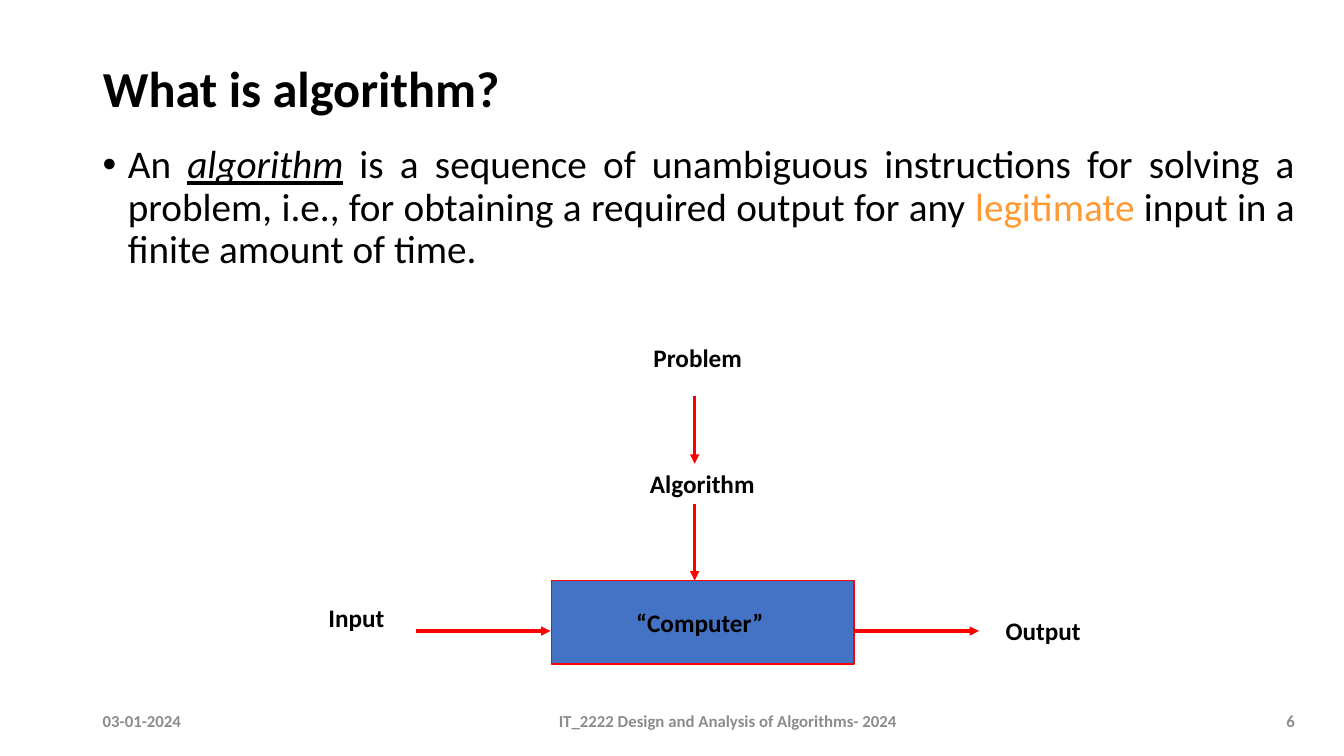
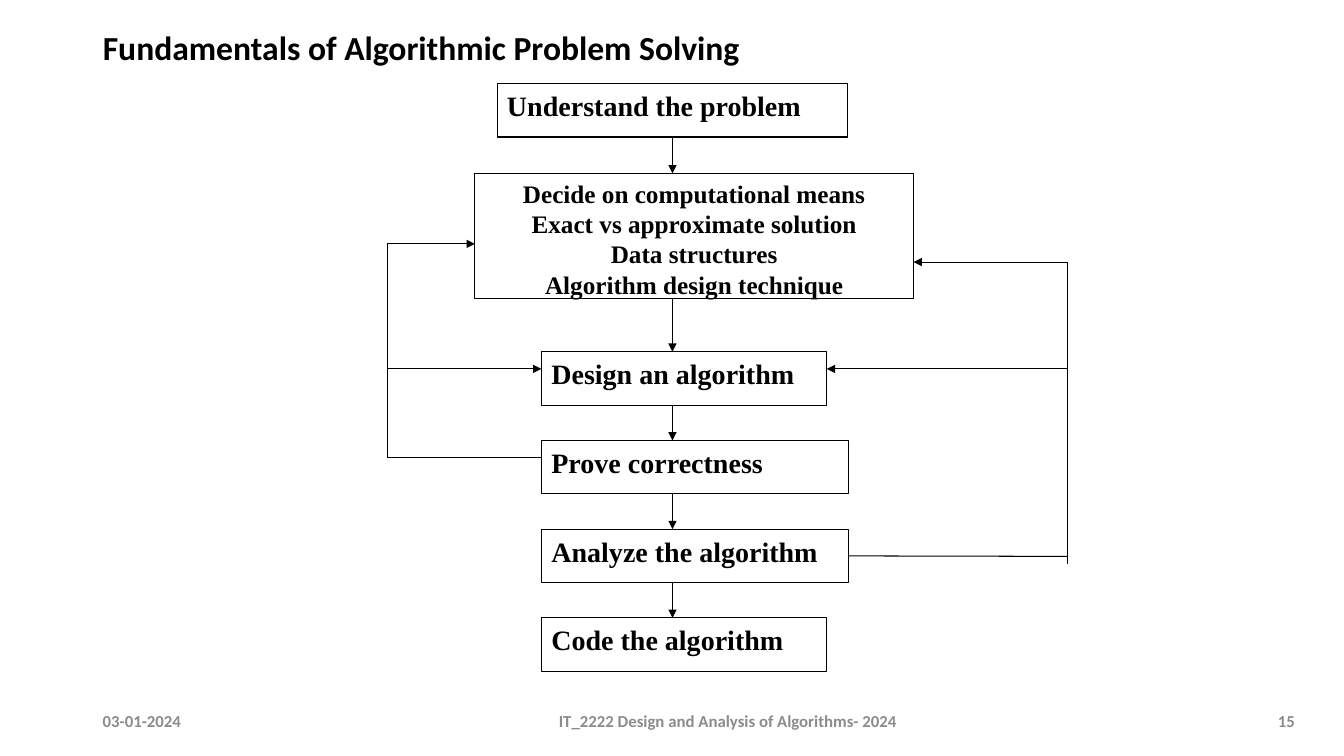
"""Build two slides on algorithms: a definition and a problem-solving flow."""
from dataclasses import dataclass
from typing import NamedTuple

from lxml.etree import SubElement
from pptx import Presentation
from pptx.dml.color import RGBColor
from pptx.enum.shapes import MSO_CONNECTOR as Conn, MSO_SHAPE as Form
from pptx.enum.text import MSO_ANCHOR as Anchor, MSO_AUTO_SIZE as Fit, PP_ALIGN as Align
from pptx.oxml.ns import qn
from pptx.util import Pt

SCALE = 9144
BLACK = RGBColor(0, 0, 0)
WHITE = RGBColor(255, 255, 255)
RED = RGBColor(255, 0, 0)
BLUE = RGBColor(0x44, 0x72, 0xC4)
ORANGE = RGBColor(0xFF, 0x99, 0x33)
GREY = RGBColor(0x8C, 0x8C, 0x8C)
SANS = "Calibri"
SERIF = "Times New Roman"
DATE = "03-01-2024"
COURSE = "IT_2222 Design and Analysis of Algorithms- 2024"


class Span(NamedTuple):
    text: str
    color: RGBColor = BLACK
    accent: bool = False


@dataclass(frozen=True)
class Box:
    x: int
    y: int
    w: int
    h: int
    lines: tuple[str, ...]
    size: int = 18
    font: str = SANS
    color: RGBColor = BLACK
    align: Align = Align.CENTER
    anchor: Anchor = Anchor.TOP
    fill: RGBColor | None = None
    edge: RGBColor = BLACK
    width: float = 0.75


@dataclass(frozen=True)
class Link:
    x1: int
    y1: int
    x2: int
    y2: int
    head: bool = True
    start: int | None = None
    side: int = 0


SPANS = (
    Span("An "),
    Span("algorithm", accent=True),
    Span(" is a sequence of unambiguous instructions for solving a problem, "
         "i.e., for obtaining a required output for any "),
    Span("legitimate", ORANGE),
    Span(" input in a finite amount of time."),
)

MODEL = (
    Box(547, 576, 300, 83, ("“Computer” ",), anchor=Anchor.MIDDLE,
        fill=BLUE, edge=RED, width=1),
    Box(622, 335, 140, 40, ("Problem",)),
    Box(634, 460, 125, 40, ("Algorithm",)),
    Box(288, 593, 131, 40, ("Input",)),
    Box(969, 606, 131, 40, ("Output",)),
)
FEEDS = (
    Link(689, 393, 689, 460),
    Link(689, 500, 689, 576),
    Link(413, 626, 546, 626),
    Link(847, 626, 971, 626),
)

MID, LEFT, RIGHT = 667, 384, 1059
TOP, STEP, HIGH = 349, 88, 53
TASKS = (("Design an algorithm", 283), ("Prove correctness", 305),
         ("Analyze the algorithm", 305), ("Code the algorithm", 283))


def step(x: int, y: int, w: int, text: str) -> Box:
    """Describe a one-line step of the flow."""
    return Box(x, y, w, HIGH, (text,), 20, SERIF, align=Align.LEFT, fill=WHITE)


FLOW = (
    step(493, 83, 348, "Understand the problem"),
    Box(471, 172, 435, 124,
        ("Decide on computational means", "Exact vs approximate solution",
         "Data structures", "Algorithm design technique"), font=SERIF, fill=WHITE),
    *(step(537, TOP + STEP * i, w, text) for i, (text, w) in enumerate(TASKS)),
)
PATHS = (
    Link(MID, 136, MID, 172, start=0, side=2),
    Link(MID, 296, MID, TOP),
    *(Link(MID, TOP + STEP * i + HIGH, MID, TOP + STEP * (i + 1)) for i in range(3)),
    Link(842, 552, RIGHT, 552, head=False, start=4, side=3),
    Link(RIGHT, 560, RIGHT, 260, head=False),
    Link(RIGHT, 260, 906, 260),
    Link(RIGHT, 366, 820, 366),
    Link(537, 454, LEFT, 454, head=False),
    Link(LEFT, 454, LEFT, 242, head=False),
    Link(LEFT, 242, 471, 242),
    Link(LEFT, 366, 537, 366),
)


def px(*vals: int) -> list[int]:
    """Turn px lengths into EMU."""
    return [v * SCALE for v in vals]


def write(para, text: str, size: int, font: str, color: RGBColor, bold: bool = True):
    """Add one styled run and return it."""
    run = para.add_run()
    run.text = text
    run.font.size = Pt(size)
    run.font.name = font
    run.font.bold = bold
    run.font.color.rgb = color
    return run


def draw(slide, box: Box):
    """Draw a filled rectangle or a plain label."""
    area = px(box.x, box.y, box.w, box.h)
    if box.fill is None:
        shape = slide.shapes.add_textbox(*area)
    else:
        shape = slide.shapes.add_shape(Form.RECTANGLE, *area)
        shape.shadow.inherit = False
        shape.fill.solid()
        shape.fill.fore_color.rgb = box.fill
        shape.line.color.rgb = box.edge
        shape.line.width = Pt(box.width)
    frame = shape.text_frame
    frame.word_wrap = True
    frame.vertical_anchor = box.anchor
    for i, text in enumerate(box.lines):
        para = frame.add_paragraph() if i else frame.paragraphs[0]
        para.alignment = box.align
        write(para, text, box.size, box.font, box.color)
    return shape


def join(slide, link: Link, shapes: list, color: RGBColor, width: float) -> None:
    """Draw a straight line, with an arrowhead if it has one."""
    line = slide.shapes.add_connector(
        Conn.STRAIGHT, *px(link.x1, link.y1, link.x2, link.y2))
    if link.start is not None:
        line.begin_connect(shapes[link.start], link.side)
    line.line.color.rgb = color
    line.line.width = Pt(width)
    if link.head:
        SubElement(line.line._get_or_add_ln(), qn("a:tailEnd"), type="triangle")
    SubElement(line._element.spPr, qn("a:effectLst"))


def chart(slide, boxes: tuple[Box, ...], links: tuple[Link, ...],
          color: RGBColor, width: float) -> None:
    """Draw boxes and the lines between them."""
    shapes = [draw(slide, box) for box in boxes]
    for link in links:
        join(slide, link, shapes, color, width)


def start(deck, text: str, size: int, area: tuple[int, ...], page: int):
    """Add a slide with its title and footer."""
    slide = deck.slides.add_slide(deck.slide_layouts.get_by_name("Title Only"))
    title = slide.shapes.title
    title.left, title.top, title.width, title.height = px(*area)
    frame = title.text_frame
    frame.auto_size = Fit.NONE
    frame.vertical_anchor = Anchor.MIDDLE
    para = frame.paragraphs[0]
    para.alignment = Align.LEFT
    para.line_spacing = 0.9
    write(para, text, size, SANS, BLACK)
    for x, w, note, align in ((92, 126, DATE, Align.LEFT),
                              (242, 960, COURSE, Align.CENTER),
                              (1242, 52, str(page), Align.RIGHT)):
        draw(slide, Box(x, 695, w, 40, (note,), 12, color=GREY,
                        align=align, anchor=Anchor.MIDDLE))
    return slide


def define(slide) -> None:
    """Add the bulleted definition."""
    frame = slide.shapes.add_textbox(*px(92, 139, 1202, 140)).text_frame
    frame.word_wrap = True
    para = frame.paragraphs[0]
    para.alignment = Align.JUSTIFY
    para.line_spacing = 0.9
    props = para._p.get_or_add_pPr()
    props.set("marL", str(25 * SCALE))
    props.set("indent", str(-25 * SCALE))
    SubElement(props, qn("a:buFont"), typeface="Arial")
    SubElement(props, qn("a:buChar"), char="•")
    for span in SPANS:
        run = write(para, span.text, 28, SANS, span.color, bold=False)
        run.font.italic = span.accent
        run.font.underline = span.accent


def main() -> None:
    """Build and save the deck."""
    deck = Presentation()
    deck.slide_width, deck.slide_height = px(1333, 750)
    slide = start(deck, "What is algorithm?", 36, (92, 56, 1202, 69), 6)
    define(slide)
    chart(slide, MODEL, FEEDS, RED, 2.25)
    slide = start(deck, "Fundamentals of Algorithmic Problem Solving", 24,
                  (92, 19, 1073, 61), 15)
    chart(slide, FLOW, PATHS, BLACK, 0.75)
    deck.save("out.pptx")


if __name__ == "__main__":
    main()
